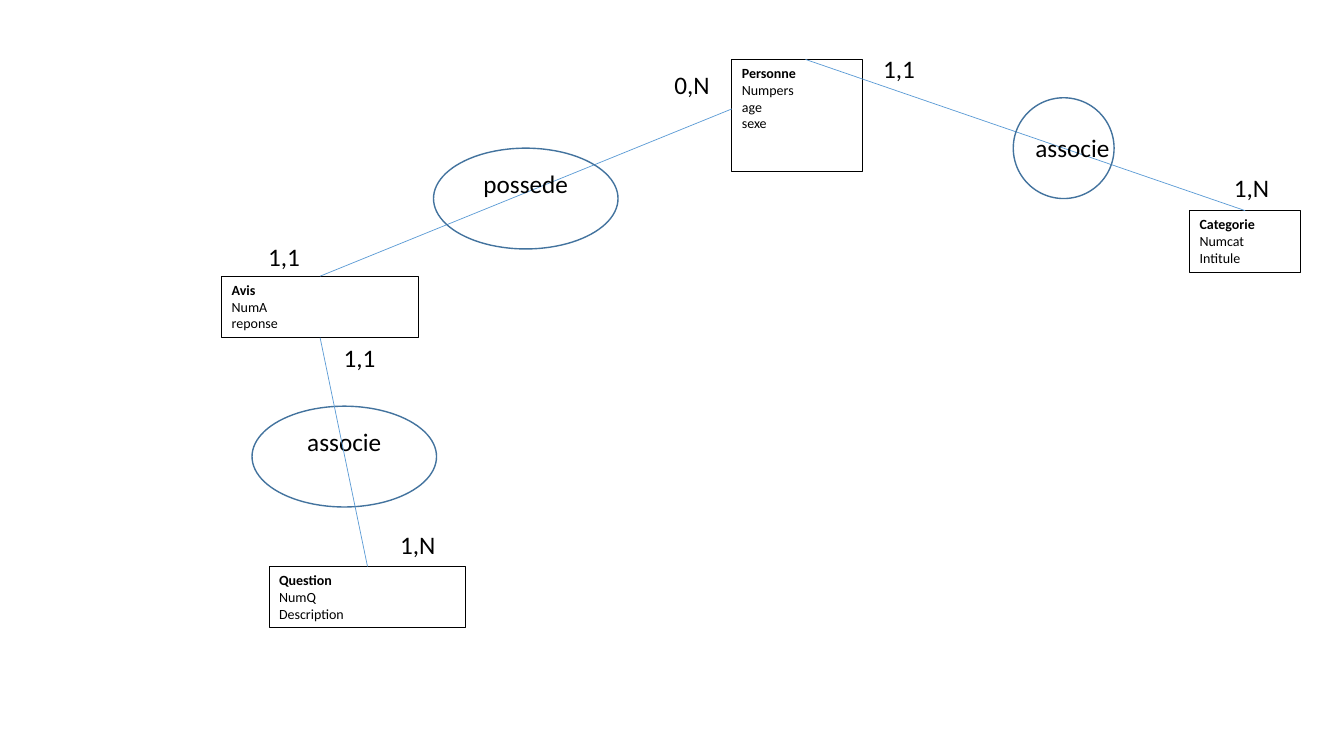
from dataclasses import dataclass

from lxml import etree
from pptx import Presentation
from pptx.dml import color
from pptx.enum import shapes, text
from pptx.oxml import ns
from pptx.util import Inches, Pt


@dataclass(frozen=True)
class Theme:
    """Colours, font and sizes of the diagram."""
    font: str = "Calibri"
    ink: str = "000000"
    ellipse: str = "43739E"
    link: str = "5B9BD5"
    entity_size: int = 10
    label_size: int = 18


THEME = Theme()
TOP, BOTTOM = 0, 2


def add_span(para, words, size, bold=False):
    """Add one formatted run to a paragraph."""
    span = para.add_run()
    span.text = words
    span.font.name = THEME.font
    span.font.size = Pt(size)
    span.font.bold = bold
    span.font.color.rgb = color.RGBColor.from_string(THEME.ink)


def set_line(shape, rgb, width):
    """Set the line colour and width of a shape or connector."""
    shape.line.color.rgb = color.RGBColor.from_string(rgb)
    shape.line.width = Pt(width)


def add_outline(page, kind, box, rgb, width):
    """Add an unfilled preset shape in the given box."""
    shape = page.shapes.add_shape(kind, *map(Inches, box))
    shape.shadow.inherit = False
    shape.fill.background()
    set_line(shape, rgb, width)
    return shape


def add_entity(page, box, name, attributes):
    """Add an entity with its bold name above its attributes."""
    entity = add_outline(page, shapes.MSO_SHAPE.RECTANGLE, box, THEME.ink, 0.75)
    frame = entity.text_frame
    frame.word_wrap = True
    frame.vertical_anchor = text.MSO_ANCHOR.TOP
    for index, words in enumerate([name, *attributes]):
        para = frame.add_paragraph() if index else frame.paragraphs[0]
        para.alignment = text.PP_ALIGN.LEFT
        add_span(para, words, THEME.entity_size, bold=index == 0)
    return entity


def add_association(page, box, name=None):
    """Add an association ellipse, its name raised above the centre."""
    ellipse = add_outline(page, shapes.MSO_SHAPE.OVAL, box, THEME.ellipse, 1)
    if name:
        frame = ellipse.text_frame
        frame.vertical_anchor = text.MSO_ANCHOR.MIDDLE
        frame.margin_bottom = Inches(0.35)
        frame.paragraphs[0].alignment = text.PP_ALIGN.CENTER
        add_span(frame.paragraphs[0], name, THEME.label_size)


def add_label(page, left, top, words, width=0.56, wrap=False):
    """Add a free label such as a cardinality."""
    label = page.shapes.add_textbox(*map(Inches, (left, top, width, 0.4)))
    label.text_frame.word_wrap = wrap
    add_span(label.text_frame.paragraphs[0], words, THEME.label_size)


def add_link(page, target, site, start=(0, 0), source=None):
    """Link a point, or the top of a source entity, to a target entity."""
    x, y = map(Inches, start)
    link = page.shapes.add_connector(shapes.MSO_CONNECTOR.STRAIGHT, x, y, x, y)
    if source is not None:
        link.begin_connect(source, TOP)
    link.end_connect(target, site)
    set_line(link, THEME.link, 0.5)
    etree.SubElement(link._element.spPr, ns.qn("a:effectLst"))


def build_diagram(page):
    """Place the entities, associations, links and cardinalities."""
    add_entity(page, (7.26, 0.59, 1.29, 1.11), "Personne", ["Numpers", "age", "sexe"])
    categorie = add_entity(page, (11.8, 2.09, 1.1, 0.61), "Categorie", ["Numcat", "Intitule"])
    question = add_entity(page, (2.67, 5.62, 1.95, 0.61), "Question", ["NumQ", "Description"])
    avis = add_entity(page, (2.2, 2.74, 1.95, 0.61), "Avis", ["NumA", "reponse"])

    add_link(page, categorie, TOP, start=(7.99, 0.59))
    add_association(page, (10.05, 0.97, 1, 1))
    add_label(page, 10.17, 1.26, "associe", width=1.42, wrap=True)
    add_association(page, (2.5, 4.03, 1.83, 1), "associe")
    add_link(page, avis, TOP, start=(7.26, 1.08))
    add_association(page, (4.3, 1.47, 1.83, 1), "possede")
    add_link(page, avis, BOTTOM, source=question)

    for left, top, words in [
        (2.56, 2.34, "1,1"), (8.66, 0.48, "1,1"), (3.31, 3.35, "1,1"),
        (12.14, 1.66, "1,N"), (3.87, 5.2, "1,N"), (6.59, 0.64, "0,N"),
    ]:
        add_label(page, left, top, words, width=0.52 if words == "1,1" else 0.56)


def main():
    """Build and save the deck."""
    deck = Presentation()
    deck.slide_width, deck.slide_height = Inches(13.33), Inches(7.5)
    build_diagram(deck.slides.add_slide(deck.slide_layouts.get_by_name("Blank")))
    deck.save("out.pptx")


main()
